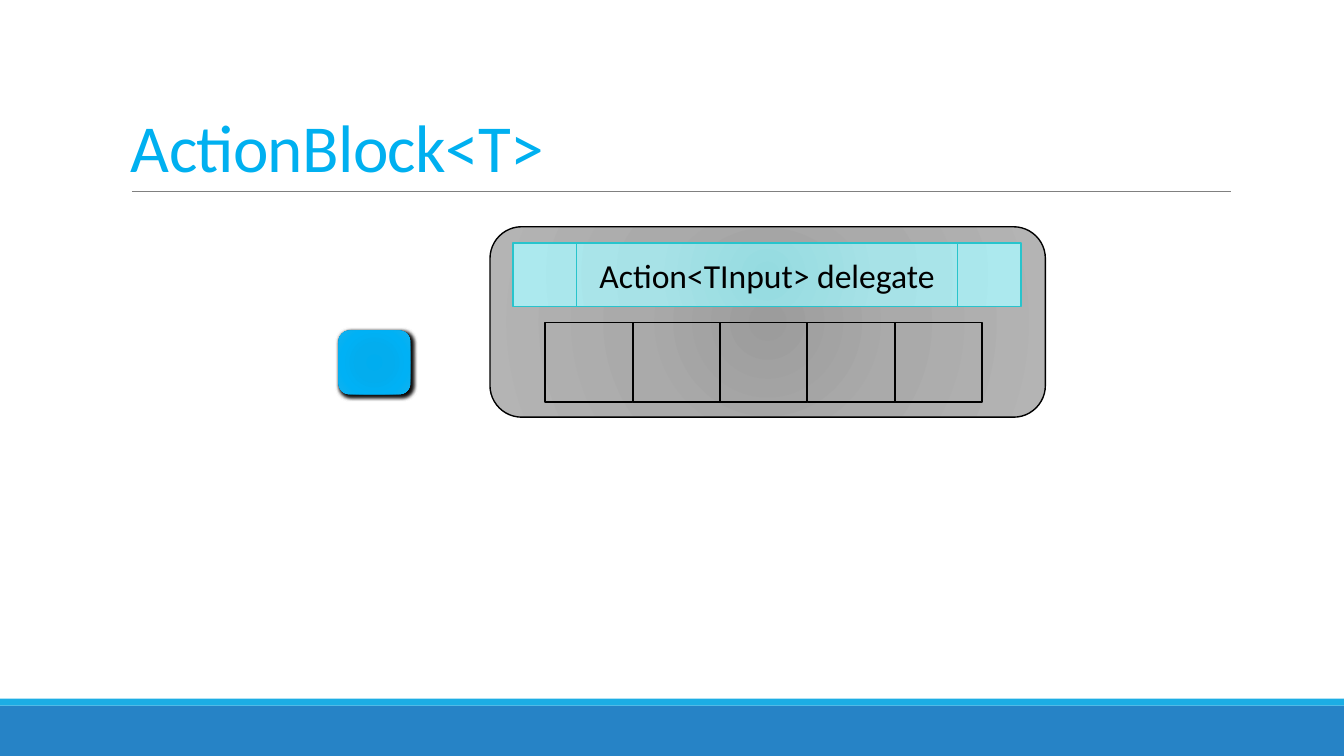
from dataclasses import dataclass

from lxml import etree
from pptx import Presentation
from pptx.dml.color import RGBColor
from pptx.enum.shapes import MSO_CONNECTOR, MSO_SHAPE
from pptx.enum.text import MSO_ANCHOR, PP_ALIGN
from pptx.oxml.ns import qn
from pptx.shapes.autoshape import Shape
from pptx.shapes.shapetree import SlideShapes
from pptx.text.text import TextFrame
from pptx.util import Pt

RECT = MSO_SHAPE.RECTANGLE
ROUND = MSO_SHAPE.ROUNDED_RECTANGLE
PROCESS = MSO_SHAPE.FLOWCHART_PREDEFINED_PROCESS
STRAIGHT = MSO_CONNECTOR.STRAIGHT
MIDDLE, BOTTOM = MSO_ANCHOR.MIDDLE, MSO_ANCHOR.BOTTOM
LEFT, CENTER = PP_ALIGN.LEFT, PP_ALIGN.CENTER

Stops = tuple[tuple[int, str], ...]


@dataclass(frozen=True)
class Theme:
    font: str = "Calibri"
    head_size: float = 48
    label_size: float = 24
    head: str = "00B0F0"
    ink: str = "000000"
    rule: str = "808080"
    base: str = "2683C6"
    strip: str = "1CADE4"
    edge: str = "28C4CC"
    gray: Stops = ((0, "9C9C9C"), (45, "AAAAAA"), (100, "B4B4B4"))
    aqua: Stops = ((0, "95DBE0"), (45, "A7E2E7"), (100, "ACE9EE"))
    blue: Stops = ((0, "00ADEF"), (34, "03ADEE"), (70, "00B1F5"), (100, "12B1EE"))


@dataclass(frozen=True)
class Box:
    left: float
    top: float
    width: float
    height: float
    kind: MSO_SHAPE = RECT
    fill: str | Stops | None = None
    line: str | None = None
    weight: float = 1
    shadow: bool = False


THEME = Theme()
CELLS, CELL = 5, 62.4
TILES = 4

BARS = [
    Box(0, 504, 960, 36, fill=THEME.base),
    Box(0, 499, 960, 5, fill=THEME.strip),
]
BLOCK = Box(350, 162, 396.7, 136, ROUND, THEME.gray, THEME.ink)
QUEUE = [
    Box(389.5 + i * CELL, 230.4, CELL, 56.9, line=THEME.ink, weight=1.25)
    for i in range(CELLS)
]
ACTION = Box(366.5, 173.5, 362.9, 45.4, PROCESS, THEME.aqua, THEME.edge)
TILE = Box(241.9, 236.2, 51.1, 45.4, ROUND, THEME.blue, shadow=True)


def shade(shape: Shape, stops: Stops) -> None:
    """Give the shape a circular gradient."""
    shape.fill.background()
    props = shape._element.spPr
    grad = etree.Element(qn("a:gradFill"), rotWithShape="1")
    items = etree.SubElement(grad, qn("a:gsLst"))
    for place, color in stops:
        stop = etree.SubElement(items, qn("a:gs"), pos=str(place * 1000))
        etree.SubElement(stop, qn("a:srgbClr"), val=color)
    circle = etree.SubElement(grad, qn("a:path"), path="circle")
    sides = dict.fromkeys("ltrb", "100000")
    etree.SubElement(circle, qn("a:fillToRect"), sides)
    props.replace(props.find(qn("a:noFill")), grad)


def cast(shape: Shape) -> None:
    """Drop a soft shadow to the lower right."""
    effects = shape._element.spPr.find(qn("a:effectLst"))
    outer = etree.SubElement(
        effects, qn("a:outerShdw"), blurRad=str(Pt(3.5)), dist=str(Pt(2)),
        dir=str(45 * 60000), algn="tl", rotWithShape="0",
    )
    color = etree.SubElement(outer, qn("a:srgbClr"), val=THEME.ink)
    etree.SubElement(color, qn("a:alpha"), val="60000")


def draw(shapes: SlideShapes, box: Box) -> Shape:
    shape = shapes.add_shape(
        box.kind, Pt(box.left), Pt(box.top), Pt(box.width), Pt(box.height)
    )
    shape.shadow.inherit = False
    if box.fill is None:
        shape.fill.background()
    elif isinstance(box.fill, str):
        shape.fill.solid()
        shape.fill.fore_color.rgb = RGBColor.from_string(box.fill)
    else:
        shade(shape, box.fill)
    if box.line:
        shape.line.color.rgb = RGBColor.from_string(box.line)
        shape.line.width = Pt(box.weight)
    else:
        shape.line.fill.background()
    if box.shadow:
        cast(shape)
    return shape


def write(
    frame: TextFrame, text: str, size: float, color: str,
    align: PP_ALIGN, anchor: MSO_ANCHOR,
) -> None:
    frame.text = text
    frame.word_wrap = True
    frame.vertical_anchor = anchor
    para = frame.paragraphs[0]
    para.alignment = align
    font = para.runs[0].font
    font.name = THEME.font
    font.size = Pt(size)
    font.color.rgb = RGBColor.from_string(color)


def add_rule(shapes: SlideShapes) -> None:
    rule = shapes.add_connector(STRAIGHT, Pt(94.3), Pt(136.8), Pt(879.1), Pt(136.8))
    rule.line.color.rgb = RGBColor.from_string(THEME.rule)
    rule.line.width = Pt(0.5)
    etree.SubElement(rule._element.spPr, qn("a:effectLst"))


def add_title(shapes: SlideShapes) -> None:
    frame = shapes.add_textbox(Pt(86.4), Pt(22.3), Pt(792), Pt(114.5)).text_frame
    write(frame, "ActionBlock<T>", THEME.head_size, THEME.head, LEFT, BOTTOM)
    para = frame.paragraphs[0]
    para.line_spacing = 0.85
    para.runs[0]._r.get_or_add_rPr().set("spc", "-50")


def main() -> None:
    deck = Presentation()
    deck.slide_width, deck.slide_height = Pt(960), Pt(540)
    shapes = deck.slides.add_slide(deck.slide_layouts[6]).shapes
    for bar in BARS:
        draw(shapes, bar)
    add_rule(shapes)
    for box in [BLOCK, *QUEUE]:
        draw(shapes, box)
    label = draw(shapes, ACTION).text_frame
    write(label, "Action<TInput> delegate", THEME.label_size, THEME.ink, CENTER, MIDDLE)
    add_title(shapes)
    # Stacked tiles deepen the shadow
    for _ in range(TILES):
        draw(shapes, TILE)
    deck.save("out.pptx")


if __name__ == "__main__":
    main()
